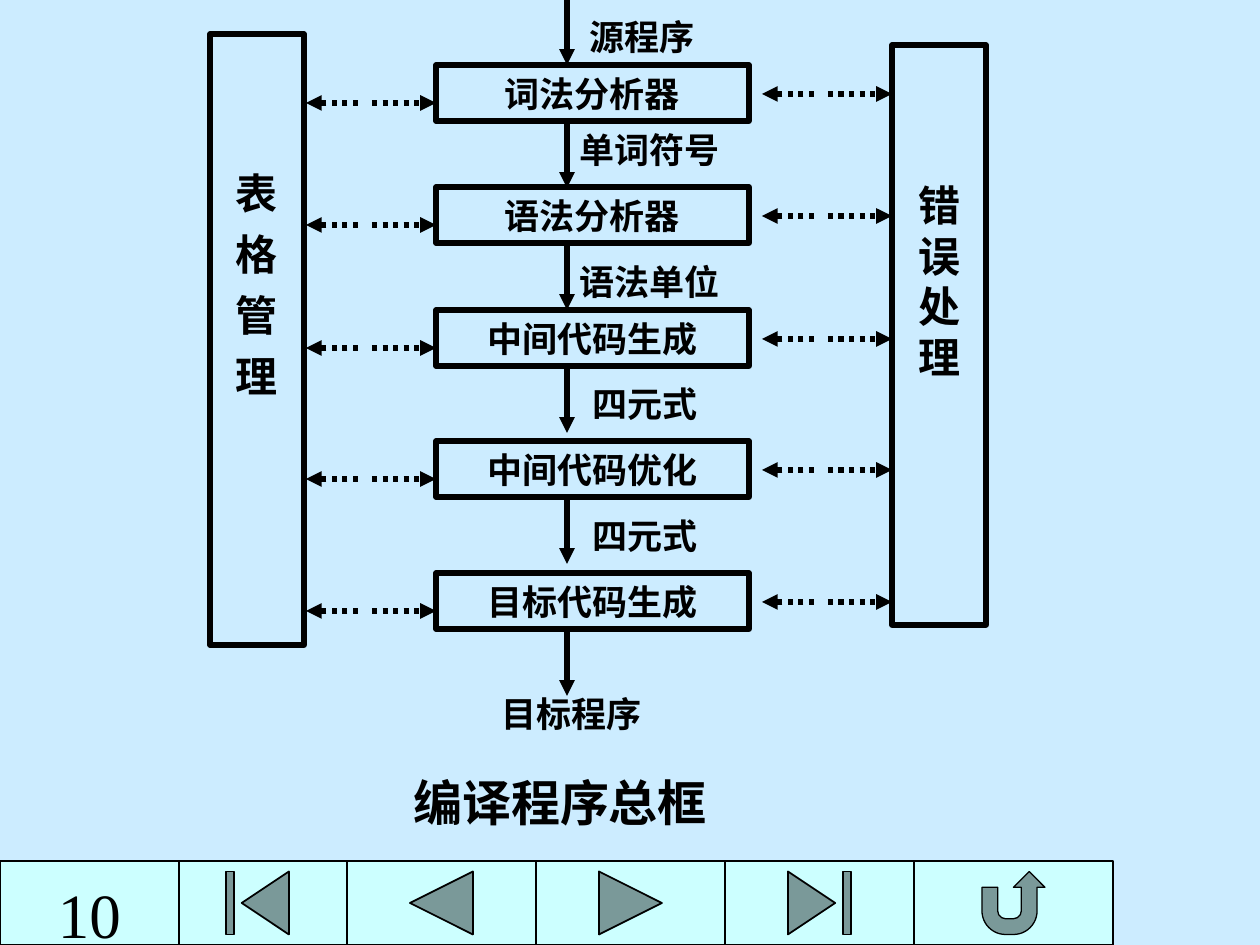
from lxml import etree
from pptx import Presentation
from pptx import util as u
from pptx.dml.color import RGBColor
from pptx.enum import dml, shapes, text
from pptx.oxml.ns import qn

SCALE = 914400 / 126
FONT = "Times New Roman"
INK, SKY, MINT = "000000", "CCECFF", "CCFFFF"


def px(n):
    return u.Emu(round(n * SCALE))


def color(hex_string):
    return RGBColor.from_string(hex_string)


def write(sp, lines, size=20, bold=True, anchor=text.MSO_ANCHOR.MIDDLE, top=6, gap=0, wrap=True):
    tf = sp.text_frame
    tf.word_wrap = wrap
    tf.vertical_anchor = anchor
    tf.margin_left = tf.margin_right = u.Inches(0.1)
    tf.margin_top, tf.margin_bottom = px(top), px(6)
    for i, line in enumerate(lines):
        p = tf.paragraphs[0] if i == 0 else tf.add_paragraph()
        p.alignment = text.PP_ALIGN.CENTER
        p.space_before = u.Pt(gap if i else 0)
        r = p.add_run()
        r.text = line
        r.font.name = FONT
        r.font.size = u.Pt(size)
        r.font.bold = bold
        r.font.color.rgb = color(INK)


class Diagram:
    def __init__(self, prs):
        self.s = prs.slides.add_slide(prs.slide_layouts[6])
        self.s.background.fill.solid()
        self.s.background.fill.fore_color.rgb = color(SKY)

    def shape(self, kind, x, y, w, h, fill=None, weight=3.0):
        sp = self.s.shapes.add_shape(kind, px(x), px(y), px(w), px(h))
        sp.shadow.inherit = False
        if fill:
            sp.fill.solid()
            sp.fill.fore_color.rgb = color(fill)
        else:
            sp.fill.background()
        sp.line.color.rgb = color(INK)
        sp.line.width = u.Pt(weight)
        return sp

    def box(self, x, y, w, h, lines, fill=None, weight=3.0, **fmt):
        sp = self.shape(shapes.MSO_SHAPE.RECTANGLE, x, y, w, h, fill, weight)
        write(sp, lines, **fmt)

    def label(self, x, y, w, h, line, size=20):
        sp = self.s.shapes.add_textbox(px(x), px(y), px(w), px(h))
        write(sp, [line], size=size, anchor=text.MSO_ANCHOR.TOP, wrap=False)

    def arrow(self, x1, y1, x2, y2, dotted=False):
        c = self.s.shapes.add_connector(
            shapes.MSO_CONNECTOR.STRAIGHT, px(x1), px(y1), px(x2), px(y2))
        c.line.color.rgb = color(INK)
        c.line.width = u.Pt(3)
        if dotted:
            c.line.dash_style = dml.MSO_LINE.ROUND_DOT
        ln = c.line._get_or_add_ln()
        etree.SubElement(ln, qn("a:tailEnd"), type="triangle")
        etree.SubElement(c._element.spPr, qn("a:effectLst"))

    def dotted_pair(self, left, y):
        self.arrow(left + 66, y, left + 130, y, dotted=True)
        self.arrow(left + 52, y, left, y, dotted=True)


def main():
    prs = Presentation()
    prs.slide_width, prs.slide_height = px(1260), px(945)
    d = Diagram(prs)

    kinds = shapes.MSO_SHAPE
    buttons = [
        (kinds.ACTION_BUTTON_BEGINNING, 168, 347, 1),
        (kinds.ACTION_BUTTON_BACK_OR_PREVIOUS, 347, 536, 1),
        (kinds.ACTION_BUTTON_FORWARD_OR_NEXT, 536, 725, 1),
        (kinds.ACTION_BUTTON_END, 725, 914, 1),
        (kinds.ACTION_BUTTON_RETURN, 914, 1113, 0.75),
    ]
    for kind, left, right, weight in buttons:
        d.shape(kind, left, 861, right - left, 84, MINT, weight)

    stages = [
        ("词法分析器", 65),
        ("语法分析器", 187),
        ("中间代码生成", 310),
        ("中间代码优化", 441),
        ("目标代码生成", 573),
    ]
    d.arrow(567, 0, 567, 65)
    for name, y in stages:
        d.box(436, y, 313, 56, [name])
        d.arrow(567, y + 57, 567, y + 123)
        d.dotted_pair(306, y + 38)
        d.dotted_pair(762, y + 29)

    flows = [
        ("源程序", 577, 9, 131),
        ("单词符号", 567, 122, 166),
        ("语法单位", 567, 254, 166),
        ("四元式", 580, 376, 131),
        ("四元式", 580, 508, 131),
        ("目标程序", 489, 686, 166),
    ]
    for name, x, y, w in flows:
        d.label(x, y, w, 56, name)

    column = dict(size=24, anchor=text.MSO_ANCHOR.TOP)
    d.box(210, 34, 94, 611, list("表格管理"), top=134, gap=6, **column)
    d.box(892, 45, 94, 580, ["错误处理"], top=135, **column)

    d.label(400, 766, 320, 72, "编译程序总框", size=28)
    d.box(0, 861, 179, 84, ["10"], MINT, 1, size=36, bold=False,
          anchor=text.MSO_ANCHOR.TOP, top=15)

    prs.save("out.pptx")


if __name__ == "__main__":
    main()
